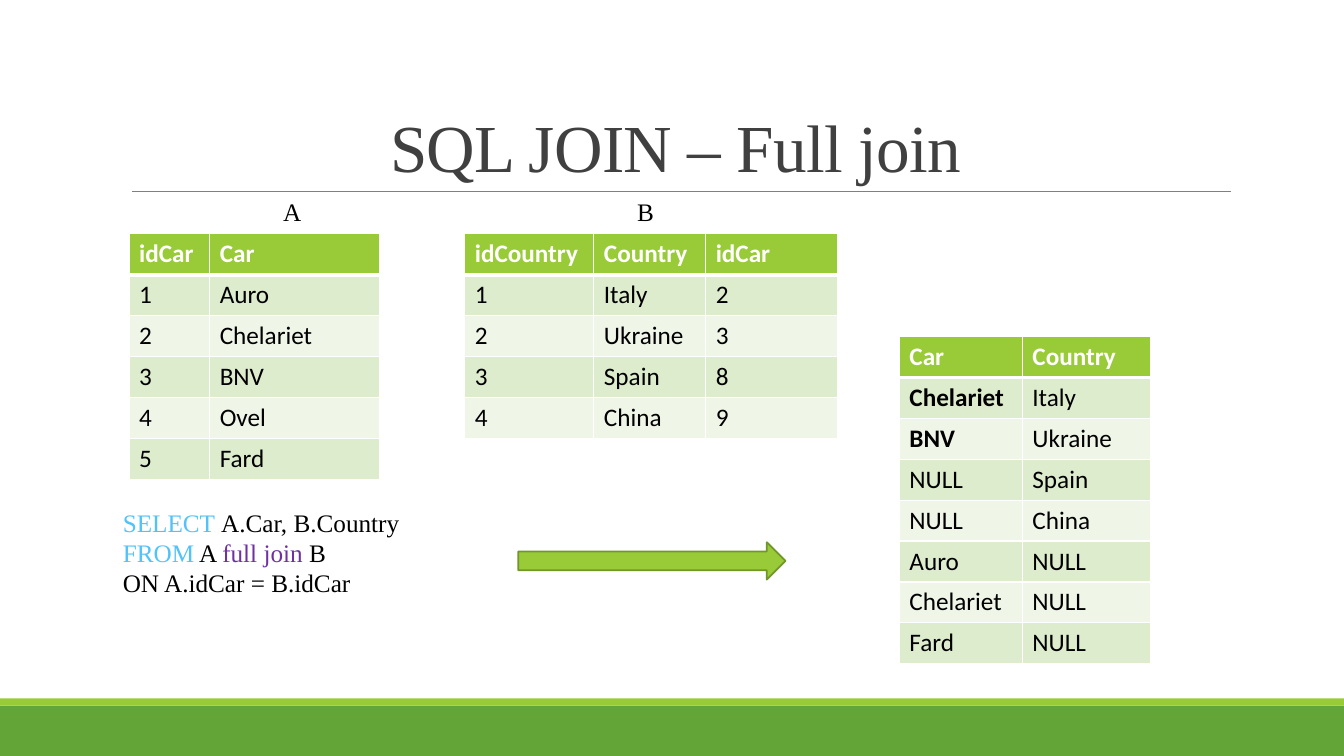
from lxml.etree import SubElement
from pptx import Presentation
from pptx.dml.color import RGBColor
from pptx.enum.shapes import MSO_CONNECTOR, MSO_SHAPE
from pptx.enum.text import MSO_ANCHOR, MSO_AUTO_SIZE, PP_ALIGN
from pptx.oxml import parse_xml
from pptx.oxml.ns import nsdecls, qn
from pptx.util import Inches, Pt

COLORS = {
    "lime": "99CB38", "green": "63A537", "olive": "719629", "rule": "808080",
    "title": "404040", "text": "000000", "white": "FFFFFF",
    "odd": "DEECCE", "even": "EFF6E8", "keyword": "51C3F9", "join": "7030A0",
}
SERIF, SANS = "Times New Roman", "Calibri"

TITLE = "SQL JOIN – Full join"
TABLES = [
    {"at": (1.28, 2.32), "height": 2.43, "columns": (0.8, 1.69), "bold": (),
     "rows": [("idCar", "Car"), ("1", "Auro"), ("2", "Chelariet"),
              ("3", "BNV"), ("4", "Ovel"), ("5", "Fard")]},
    {"at": (4.61, 2.32), "height": 2.03, "columns": (1.28, 1.11, 1.31), "bold": (),
     "rows": [("idCountry", "Country", "idCar"), ("1", "Italy", "2"),
              ("2", "Ukraine", "3"), ("3", "Spain", "8"), ("4", "China", "9")]},
    {"at": (8.92, 3.34), "height": 3.24, "columns": (1.22, 1.27),
     "bold": ((1, 0), (2, 0)),
     "rows": [("Car", "Country"), ("Chelariet", "Italy"), ("BNV", "Ukraine"),
              ("NULL", "Spain"), ("NULL", "China"), ("Auro", "NULL"),
              ("Chelariet", "NULL"), ("Fard", "NULL")]},
]
QUERY = [
    [("SELECT ", "keyword"), ("A.Car, B.Country", "text")],
    [("FROM", "keyword"), (" A ", "text"), ("full join", "join"), (" B", "text")],
    [("ON A.idCar = B.idCar", "text")],
]
LABELS = [
    ((1.12, 4.98, 2.96, 1.01), QUERY),
    ((2.71, 1.9, 0.38, 0.4), [[("A", "text")]]),
    ((6.22, 1.9, 0.37, 0.4), [[("B", "text")]]),
]
BANDS = [((0, 7, 13.33, 0.5), "green"), ((0, 6.93, 13.33, 0.07), "lime")]

deck = Presentation()
deck.slide_width, deck.slide_height = Inches(13.33), Inches(7.5)
slide = deck.slides.add_slide(deck.slide_layouts[6])


def rgb(name):
    return RGBColor.from_string(COLORS[name])


def style(run, color, size=18, font=SERIF, bold=False):
    run.font.name, run.font.size, run.font.bold = font, Pt(size), bold
    run.font.color.rgb = rgb(color)


def add_block(kind, at, fill, outline=None):
    block = slide.shapes.add_shape(kind, *map(Inches, at))
    block.shadow.inherit = False
    block.fill.solid()
    block.fill.fore_color.rgb = rgb(fill)
    if outline:
        block.line.color.rgb = rgb(outline)
        block.line.width = Pt(1.25)
    else:
        block.line.fill.background()


def add_text(at, lines, size=18, wrap=False):
    frame = slide.shapes.add_textbox(*map(Inches, at)).text_frame
    frame.word_wrap = wrap
    frame.auto_size = MSO_AUTO_SIZE.NONE if wrap else MSO_AUTO_SIZE.SHAPE_TO_FIT_TEXT
    for index, line in enumerate(lines):
        paragraph = frame.paragraphs[0] if index == 0 else frame.add_paragraph()
        for words, color in line:
            run = paragraph.add_run()
            run.text = words
            style(run, color, size)
    return frame


def add_borders(cell, row):
    widths = {"L": 1, "R": 1, "T": 3 if row == 1 else 1, "B": 3 if row == 0 else 1}
    for index, (side, width) in enumerate(widths.items()):
        border = parse_xml(
            f'<a:ln{side} {nsdecls("a")} w="{Pt(width)}"><a:solidFill>'
            f'<a:srgbClr val="{COLORS["white"]}"/></a:solidFill></a:ln{side}>')
        cell._tc.get_or_add_tcPr().insert(index, border)


def add_grid(at, height, columns, rows, bold):
    grid = slide.shapes.add_table(
        len(rows), len(columns), *map(Inches, (*at, sum(columns), height))).table
    for column, width in zip(grid.columns, columns):
        column.width = Inches(width)
    for r, values in enumerate(rows):
        fill = "lime" if r == 0 else "odd" if r % 2 else "even"
        for c, value in enumerate(values):
            cell = grid.cell(r, c)
            cell.text_frame.text = value
            style(cell.text_frame.paragraphs[0].runs[0], "text" if r else "white",
                  font=SANS, bold=r == 0 or (r, c) in bold)
            cell.fill.solid()
            cell.fill.fore_color.rgb = rgb(fill)
            add_borders(cell, r)


for at, color in BANDS:
    add_block(MSO_SHAPE.RECTANGLE, at, color)

rule = slide.shapes.add_connector(
    MSO_CONNECTOR.STRAIGHT, *map(Inches, (1.31, 1.9, 12.21, 1.9)))
rule.line.color.rgb = rgb("rule")
rule.line.width = Pt(0.5)
SubElement(rule._element.spPr, qn("a:effectLst"))

heading = add_text((1.2, 0.31, 11, 1.59), [[(TITLE, "title")]], 48, True)
heading.vertical_anchor = MSO_ANCHOR.BOTTOM
heading.paragraphs[0].alignment = PP_ALIGN.CENTER
heading.paragraphs[0].line_spacing = 0.85
heading.paragraphs[0].runs[0].font._element.set("spc", "-50")

for table in TABLES:
    add_grid(**table)
for at, lines in LABELS:
    add_text(at, lines)
add_block(MSO_SHAPE.RIGHT_ARROW, (5.14, 5.38, 2.65, 0.37), "lime", "olive")

deck.save("out.pptx")
